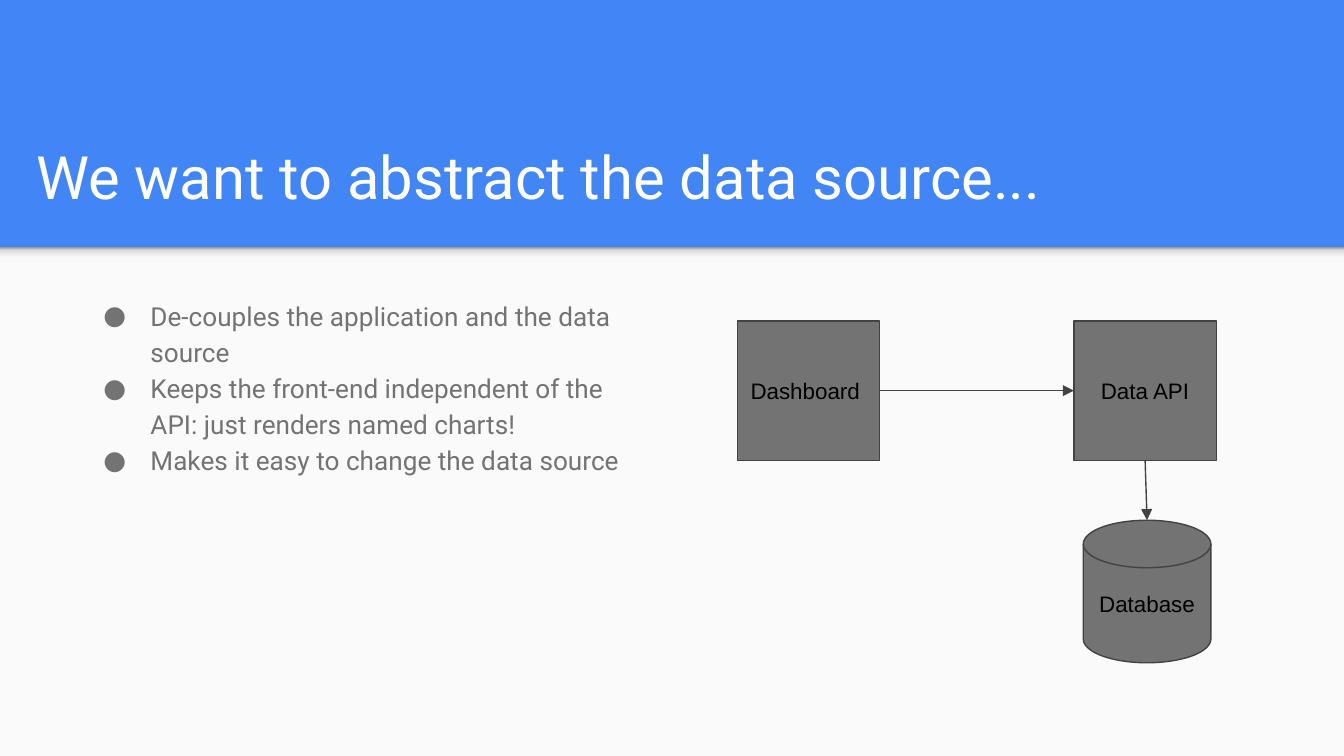
"""Build a slide on abstracting the data source behind an API."""
from dataclasses import dataclass
from typing import Any

from lxml.etree import SubElement
from pptx import Presentation
from pptx.dml.color import RGBColor
from pptx.enum.shapes import MSO_CONNECTOR, MSO_SHAPE
from pptx.enum.text import MSO_ANCHOR, MSO_AUTO_SIZE, PP_ALIGN
from pptx.oxml.ns import qn
from pptx.util import Pt

BLUE = RGBColor(0x42, 0x85, 0xF4)
PALE = RGBColor(0xFA, 0xFA, 0xFA)
WHITE = RGBColor(0xFF, 0xFF, 0xFF)
BLACK = RGBColor(0x00, 0x00, 0x00)
GRAY = RGBColor(0x73, 0x73, 0x73)
OUTLINE = RGBColor(0x42, 0x42, 0x42)
SHADE_STOPS = (
    (0, RGBColor(0xF9, 0xF9, 0xF9)),
    (36, RGBColor(0xF9, 0xF9, 0xF9)),
    (80, RGBColor(0xDE, 0xDE, 0xDE)),
    (100, RGBColor(0x99, 0x99, 0x99)),
)

SLIDE_WIDTH, SLIDE_HEIGHT = 720, 405
BAND_HEIGHT = 132.5
INSET = 7.2
TITLE = "We want to abstract the data source..."
BENEFITS = (
    "De-couples the application and the data source",
    "Keeps the front-end independent of the API: just renders named charts!",
    "Makes it easy to change the data source",
)


@dataclass(frozen=True)
class Node:
    label: str
    left: float
    top: float
    width: float
    height: float
    outline: MSO_SHAPE = MSO_SHAPE.RECTANGLE
    align: PP_ALIGN = PP_ALIGN.CENTER

    @property
    def center(self) -> float:
        return self.left + self.width / 2

    @property
    def middle(self) -> float:
        return self.top + self.height / 2


DASHBOARD = Node("Dashboard", 395, 172, 76.3, 74.6, align=PP_ALIGN.LEFT)
DATA_API = Node("Data API", 575.3, 172, 76.3, 74.6)
DATABASE = Node("Database", 580.3, 278.7, 68.4, 76.4, MSO_SHAPE.FLOWCHART_MAGNETIC_DISK)


def place(holder: Any, left: float, top: float, width: float, height: float) -> None:
    holder.left, holder.top = Pt(left), Pt(top)
    holder.width, holder.height = Pt(width), Pt(height)


def set_frame(frame: Any, anchor: MSO_ANCHOR) -> None:
    frame.word_wrap = True
    frame.auto_size = MSO_AUTO_SIZE.NONE
    frame.vertical_anchor = anchor
    frame.margin_left = frame.margin_right = Pt(INSET)
    frame.margin_top = frame.margin_bottom = Pt(INSET)


def format_runs(paragraph: Any, font_name: str, size: float, color: RGBColor) -> None:
    for run in paragraph.runs:
        run.font.name = font_name
        run.font.size = Pt(size)
        run.font.color.rgb = color


def add_band(slide: Any, height: float, depth: int) -> Any:
    band = slide.shapes.add_shape(
        MSO_SHAPE.RECTANGLE, 0, Pt(BAND_HEIGHT), Pt(SLIDE_WIDTH), Pt(height)
    )
    band.shadow.inherit = False
    band.line.fill.background()
    slide.shapes.element.insert(2 + depth, band.element)
    return band


def draw_background(slide: Any) -> None:
    slide.background.fill.solid()
    slide.background.fill.fore_color.rgb = BLUE
    panel = add_band(slide, SLIDE_HEIGHT - BAND_HEIGHT, 0)
    panel.fill.solid()
    panel.fill.fore_color.rgb = PALE
    shade = add_band(slide, 8.6, 1)
    shade.fill.gradient()
    shade.fill.gradient_angle = 90
    stops = shade.element.spPr.find(".//" + qn("a:gsLst"))
    stops.clear()
    for percent, color in SHADE_STOPS:
        stop = SubElement(stops, qn("a:gs"), pos=str(percent * 1000))
        SubElement(stop, qn("a:srgbClr"), val=str(color))


def fill_title(title: Any) -> None:
    place(title, 12.2, 59.8, 672.5, 60.5)
    title.text_frame.text = TITLE
    set_frame(title.text_frame, MSO_ANCHOR.BOTTOM)
    heading = title.text_frame.paragraphs[0]
    heading.alignment = PP_ALIGN.LEFT
    format_runs(heading, "Roboto", 32, WHITE)


def fill_benefits(body: Any) -> None:
    place(body, 37.4, 151.2, 314.6, 213.1)
    body.text_frame.text = "\n".join(BENEFITS)
    set_frame(body.text_frame, MSO_ANCHOR.TOP)
    for benefit in body.text_frame.paragraphs:
        properties = benefit._p.get_or_add_pPr()
        properties.set("marL", str(Pt(36)))
        properties.set("indent", str(Pt(-25.2)))
        bullet_color = SubElement(properties, qn("a:buClr"))
        SubElement(bullet_color, qn("a:srgbClr"), val=str(GRAY))
        SubElement(properties, qn("a:buFont"), typeface="Roboto")
        SubElement(properties, qn("a:buChar"), char="●")
        benefit.alignment = PP_ALIGN.LEFT
        benefit.line_spacing = 1.15
        benefit.space_before = benefit.space_after = Pt(0)
        format_runs(benefit, "Roboto", 14, GRAY)


def draw_node(slide: Any, node: Node) -> None:
    shape = slide.shapes.add_shape(
        node.outline, Pt(node.left), Pt(node.top), Pt(node.width), Pt(node.height)
    )
    shape.shadow.inherit = False
    shape.fill.solid()
    shape.fill.fore_color.rgb = GRAY
    shape.line.color.rgb = OUTLINE
    shape.line.width = Pt(0.75)
    shape.text_frame.text = node.label
    set_frame(shape.text_frame, MSO_ANCHOR.MIDDLE)
    label = shape.text_frame.paragraphs[0]
    label.alignment = node.align
    format_runs(label, "Arial", 12, BLACK)


def draw_arrow(slide: Any, start: tuple[float, float], end: tuple[float, float]) -> None:
    arrow = slide.shapes.add_connector(
        MSO_CONNECTOR.STRAIGHT, *(Pt(value) for value in start + end)
    )
    arrow.line.color.rgb = OUTLINE
    arrow.line.width = Pt(0.75)
    SubElement(arrow.line._get_or_add_ln(), qn("a:tailEnd"), type="triangle")
    SubElement(arrow.element.spPr, qn("a:effectLst"))


def main() -> None:
    deck = Presentation()
    deck.slide_width, deck.slide_height = Pt(SLIDE_WIDTH), Pt(SLIDE_HEIGHT)
    slide = deck.slides.add_slide(deck.slide_layouts[1])
    draw_background(slide)
    fill_title(slide.shapes.title)
    fill_benefits(slide.placeholders[1])
    for node in (DATABASE, DASHBOARD, DATA_API):
        draw_node(slide, node)
    draw_arrow(
        slide,
        (DASHBOARD.left + DASHBOARD.width, DASHBOARD.middle),
        (DATA_API.left, DATA_API.middle),
    )
    draw_arrow(
        slide,
        (DATA_API.center, DATA_API.top + DATA_API.height),
        (DATABASE.center, DATABASE.top),
    )
    deck.save("out.pptx")


if __name__ == "__main__":
    main()
